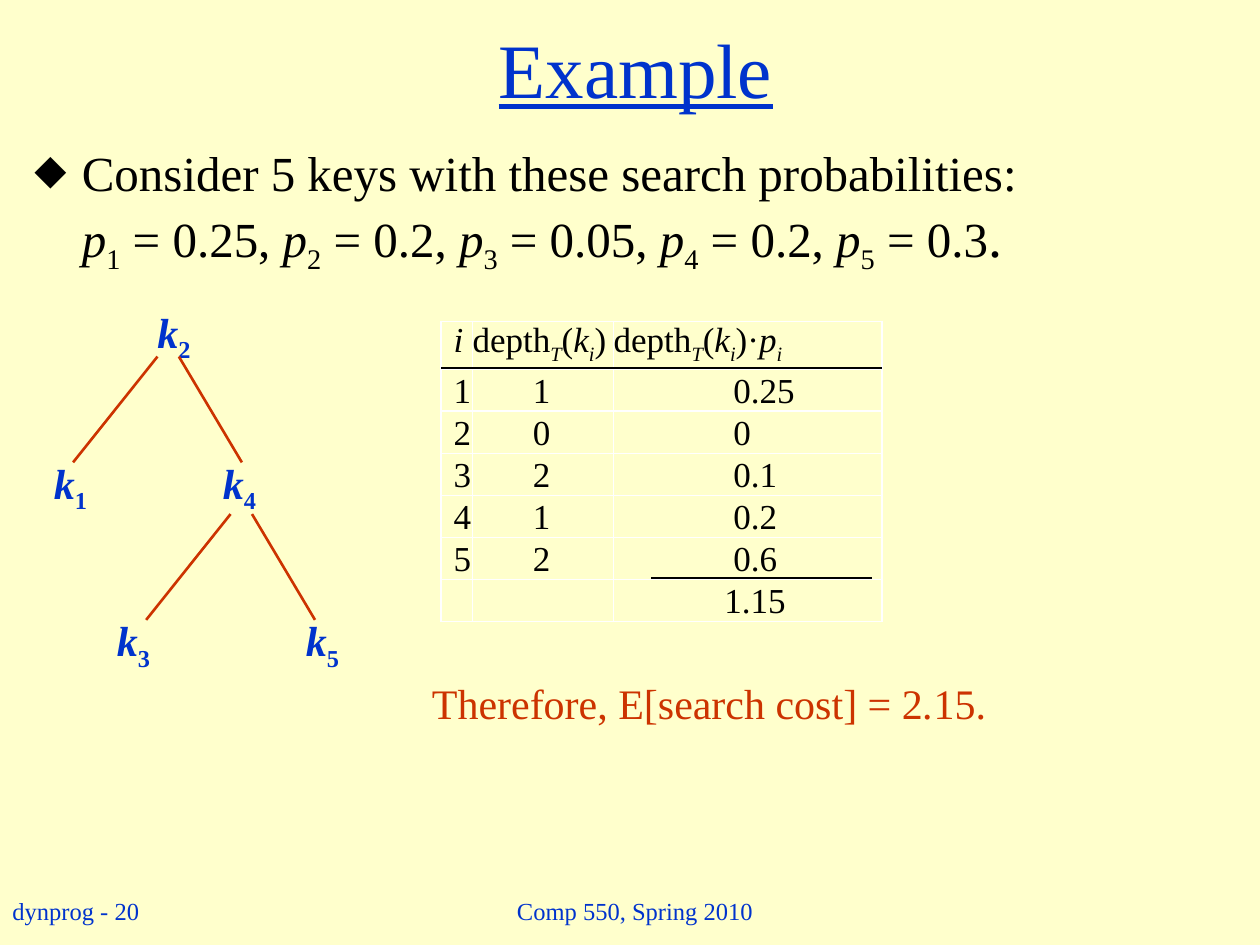
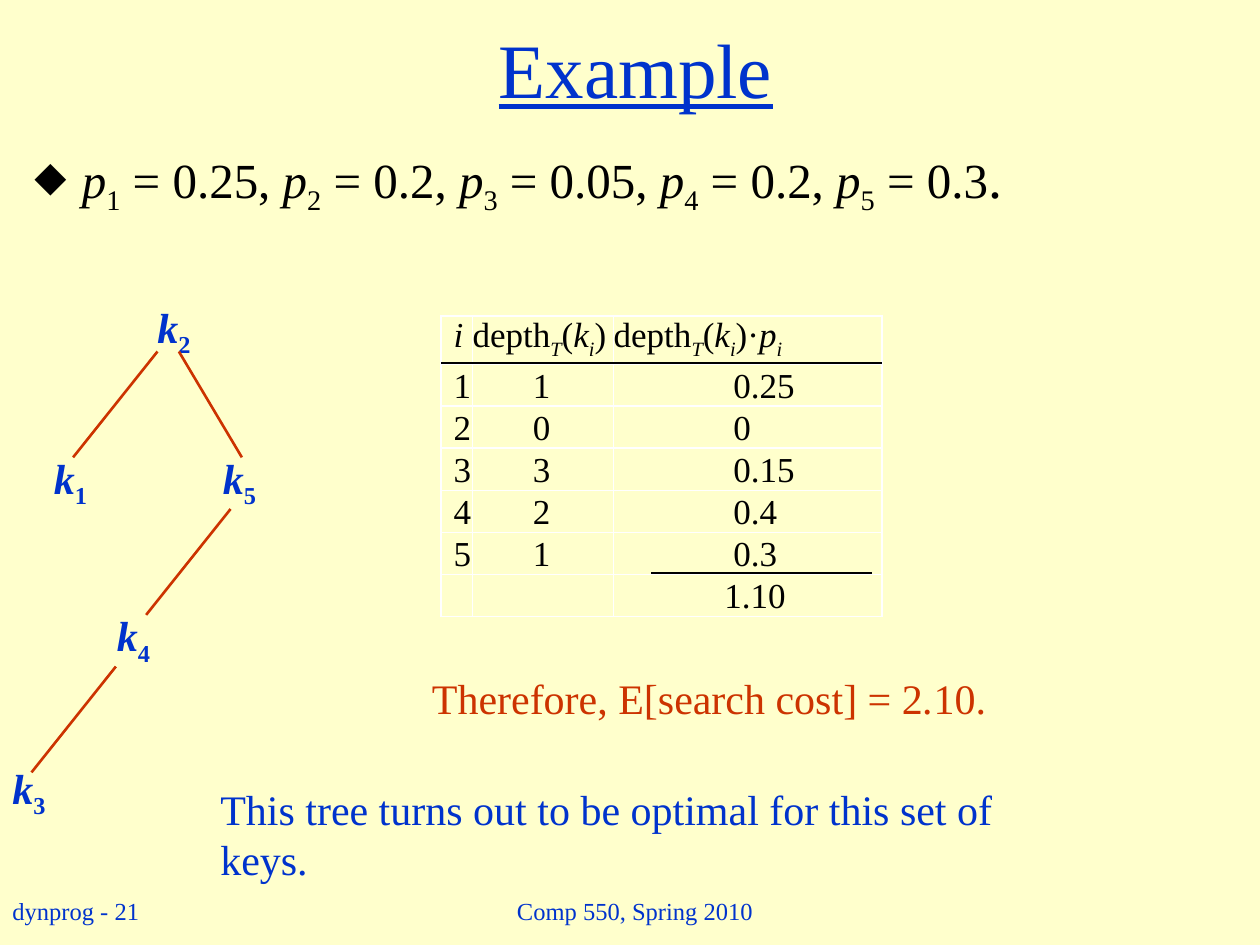
from lxml import etree
from pptx import Presentation
from pptx.dml.color import RGBColor
from pptx.enum.shapes import MSO_CONNECTOR
from pptx.enum.text import MSO_ANCHOR, MSO_AUTO_SIZE, PP_ALIGN
from pptx.oxml.ns import qn
from pptx.util import Inches, Pt

STRAIGHT = MSO_CONNECTOR.STRAIGHT
MIDDLE, BOTTOM = MSO_ANCHOR.MIDDLE, MSO_ANCHOR.BOTTOM
NO_FIT = MSO_AUTO_SIZE.NONE
LEFT, CENTER = PP_ALIGN.LEFT, PP_ALIGN.CENTER

CREAM = RGBColor(0xFF, 0xFF, 0xCC)
BLUE = RGBColor(0x00, 0x33, 0xCC)
RUST = RGBColor(0xCC, 0x33, 0x00)
BLACK = RGBColor(0x00, 0x00, 0x00)
FONT = "Times New Roman"

TITLE = {"size": Pt(44), "color": BLUE, "underline": True}
BODY = {"size": Pt(28), "color": BLACK}
FOOTER = {"size": Pt(14), "color": BLUE}
KEY = {"size": Pt(24), "color": BLUE, "bold": True}
CELL = {"size": Pt(20), "color": BLACK}
RESULT = {"size": Pt(24), "color": RUST}
REMARK = {"size": Pt(24), "color": BLUE}

PROBABILITIES = ["0.25", "0.2", "0.05", "0.2", "0.3"]
DEPTH = [("depth", ""), ("T", "is"), ("(", ""), ("k", "i"), ("i", "is"), (")", "")]
HEADERS = [[("i", "i")], DEPTH, DEPTH + [("·", ""), ("p", "i"), ("i", "is")]]
HEADER_MARGINS = [0.1, 0, 0]
VALUE_MARGINS = [0.1, 0.48, 0.95]
TOTAL_MARGINS = [0.1, 0.48, 0.88]
COLUMN_WIDTHS = [0.25, 1.12, 2.13]
HEADER_HEIGHT, ROW_HEIGHT = 0.37, 1.67 / 5

NODE_PLACES = {
    "root": (1.15, 0),
    "left": (0.33, 1.2),
    "right": (1.67, 1.2),
    "inner": (0.83, 2.45),
    "outer": (2.33, 2.45),
    "lowest": (0, 3.66),
}
BRANCH_STARTS = {
    "left": (1.25, 0.45),
    "right": (1.42, 0.45),
    "inner": (1.83, 1.7),
    "outer": (2, 1.7),
    "lowest": (0.92, 2.95),
}
RIGHT_BRANCHES = ("right", "outer")


def add_runs(paragraph, pieces, style):
    """Add (text, marks) pieces, where i is italic and s is subscript."""
    for text, marks in pieces:
        run = paragraph.add_run()
        run.text = text
        run.font.color.rgb = style["color"]
        values = {"name": FONT, "italic": "i" in marks, **style}
        del values["color"]
        for name, value in values.items():
            setattr(run.font, name, value)
        if "s" in marks:
            run._r.get_or_add_rPr().set("baseline", "-25000")


def add_text(slide, box, pieces, style, align=LEFT, anchor=None):
    """Add a wrapped text box of one paragraph."""
    frame = slide.shapes.add_textbox(*map(Inches, box)).text_frame
    frame.word_wrap = True
    frame.vertical_anchor = anchor
    frame.paragraphs[0].alignment = align
    add_runs(frame.paragraphs[0], pieces, style)


def add_line(slide, start, end, color, width):
    """Draw a straight line without a shadow."""
    line = slide.shapes.add_connector(STRAIGHT, *map(Inches, (*start, *end)))
    line.line.color.rgb = color
    line.line.width = Pt(width)
    etree.SubElement(line._element.spPr, qn("a:effectLst"))


def probability_pieces():
    """List the search probabilities p1 to p5 as text pieces."""
    pieces = []
    for number, value in enumerate(PROBABILITIES, 1):
        ending = ", " if number < len(PROBABILITIES) else ""
        pieces += [("p", "i"), (str(number), "s"), (f" = {value}{ending}", "")]
    return pieces


def prepare_layout(presentation):
    """Set the shared background and placeholder boxes."""
    fill = presentation.slide_master.background.fill
    fill.solid()
    fill.fore_color.rgb = CREAM
    layout = presentation.slide_layouts[1]
    boxes = [(-0.18, 0.03, 10.45, 1.01), (0.17, 1.08, 9.67, 5.83)]
    for index, box in enumerate(boxes):
        for name, value in zip(("left", "top", "width", "height"), box):
            setattr(layout.placeholders[index], name, Inches(value))
    return layout


def add_page(presentation, layout, number, introduction):
    """Add a slide with its title, probability bullet and footers."""
    slide = presentation.slides.add_slide(layout)
    title, body = slide.placeholders[0].text_frame, slide.placeholders[1].text_frame
    title.vertical_anchor = MIDDLE
    title.paragraphs[0].alignment = CENTER
    add_runs(title.paragraphs[0], [("Example", "")], TITLE)
    title.auto_size = body.auto_size = NO_FIT

    bullet = body.paragraphs[0]
    properties = bullet._p.get_or_add_pPr()
    properties.set("marL", str(Inches(0.38)))
    properties.set("indent", str(Inches(-0.38)))
    etree.SubElement(properties, qn("a:buFont")).set("typeface", FONT)
    etree.SubElement(properties, qn("a:buChar")).set("char", "⬥")
    if introduction:
        add_runs(bullet, [(introduction, "")], BODY)
        bullet.add_line_break()
    add_runs(bullet, probability_pieces(), BODY)
    add_runs(bullet, [(".", "")], {**BODY, "size": Pt(32)})

    add_text(slide, (0, 6.98, 1.6, 0.5), [(f"dynprog - {number}", "")],
             FOOTER, anchor=MIDDLE)
    add_text(slide, (3.79, 6.98, 2.5, 0.5), [("Comp 550, Spring 2010", "")],
             FOOTER, CENTER, MIDDLE)
    return slide


def add_tree(slide, top, keys):
    """Draw a search tree from a dict of node place to key number."""
    for place, number in keys.items():
        if place in BRANCH_STARTS:
            x, y = BRANCH_STARTS[place]
            end_x = x + (0.5 if place in RIGHT_BRANCHES else -0.67)
            add_line(slide, (x, top + y), (end_x, top + y + 0.84), RUST, 1.5)
        x, y = NODE_PLACES[place]
        add_text(slide, (x, top + y, 0.52, 0.5),
                 [("k", "i"), (str(number), "s")], KEY)


def add_depth_table(slide, left, top, depths, products, total):
    """Add the table of depths with its two rules and total."""
    rows = [(HEADERS, HEADER_MARGINS)]
    for number, (depth, product) in enumerate(zip(depths, products), 1):
        values = (str(number), str(depth), product)
        rows.append(([[(value, "")] for value in values], VALUE_MARGINS))
    rows.append(([[], [], [(total, "")]], TOTAL_MARGINS))

    width = sum(COLUMN_WIDTHS)
    height = HEADER_HEIGHT + ROW_HEIGHT * (len(rows) - 1)
    box = map(Inches, (left, top, width, height))
    table = slide.shapes.add_table(len(rows), len(COLUMN_WIDTHS), *box).table
    table.first_row = table.horz_banding = False
    for column, column_width in zip(table.columns, COLUMN_WIDTHS):
        column.width = Inches(column_width)
    for index, (row, (contents, margins)) in enumerate(zip(table.rows, rows)):
        row.height = Inches(ROW_HEIGHT if index else HEADER_HEIGHT)
        for cell, pieces, margin in zip(row.cells, contents, margins):
            cell.fill.background()
            cell.margin_left = Inches(margin)
            cell.margin_right = cell.margin_top = cell.margin_bottom = 0
            cell.vertical_anchor = BOTTOM if index else None
            cell.text_frame.word_wrap = True
            cell.text_frame.paragraphs[0].font.size = CELL["size"]
            add_runs(cell.text_frame.paragraphs[0], pieces, CELL)

    header_rule = top + HEADER_HEIGHT
    total_rule = header_rule + ROW_HEIGHT * len(depths)
    add_line(slide, (left, header_rule), (left + width, header_rule), BLACK, 1)
    add_line(slide, (left + 1.67, total_rule), (left + 3.42, total_rule), BLACK, 1)


def add_example(slide, top, keys, depths, products, total, cost):
    """Place the tree, its depth table and the resulting search cost."""
    add_tree(slide, top, keys)
    add_depth_table(slide, 3.5, top + 0.17, depths, products, total)
    whole, decimals = cost.split(".")
    pieces = [(f"Therefore, E[search cost] = {whole}", ""), (".", "i"),
              (f"{decimals}.", "")]
    add_text(slide, (3.33, top + 2.95, 4.8, 0.5), pieces, RESULT)


def main():
    """Build and save both example slides."""
    presentation = Presentation()
    presentation.slide_width, presentation.slide_height = Inches(10), Inches(7.5)
    layout = prepare_layout(presentation)

    slide = add_page(presentation, layout, 20,
                     "Consider 5 keys with these search probabilities:")
    add_example(slide, 2.38,
                {"root": 2, "left": 1, "right": 4, "inner": 3, "outer": 5},
                [1, 0, 2, 1, 2], ["0.25", "0", "0.1", "0.2", "0.6"],
                "1.15", "2.15")

    slide = add_page(presentation, layout, 21, None)
    add_example(slide, 2.34,
                {"root": 2, "left": 1, "right": 5, "inner": 4, "lowest": 3},
                [1, 0, 3, 2, 1], ["0.25", "0", "0.15", "0.4", "0.3"],
                "1.10", "2.10")
    add_text(slide, (1.65, 6.17, 6.6, 0.9),
             [("This tree turns out to be optimal for this set of keys.", "")],
             REMARK)

    presentation.save("out.pptx")


main()
